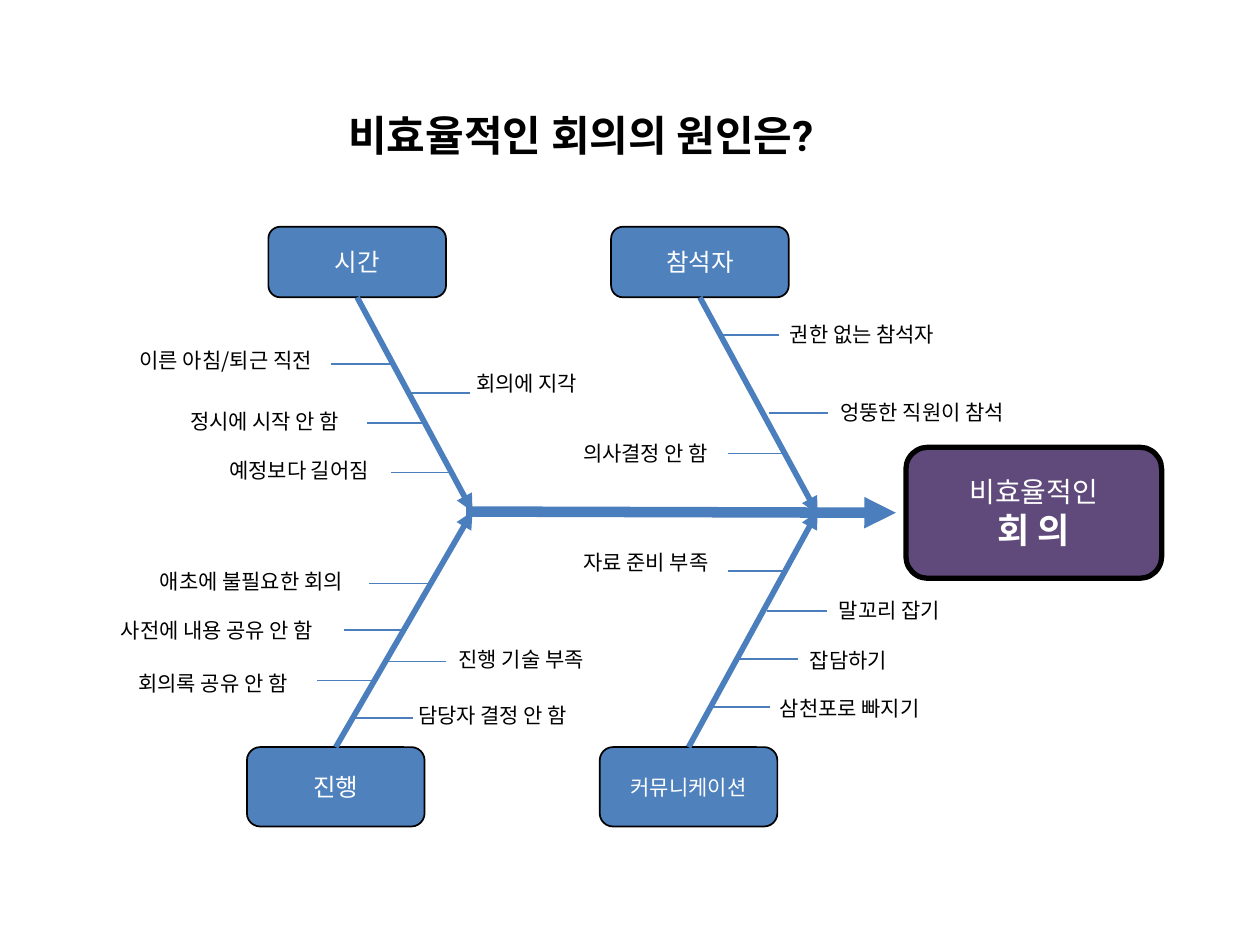
from lxml import etree
from pptx import Presentation
from pptx.dml.color import RGBColor
from pptx.enum.shapes import MSO_CONNECTOR, MSO_SHAPE
from pptx.enum.text import MSO_ANCHOR, MSO_AUTO_SIZE, PP_ALIGN
from pptx.oxml.ns import qn
from pptx.util import Inches, Pt

STRAIGHT = MSO_CONNECTOR.STRAIGHT
ROUNDED = MSO_SHAPE.ROUNDED_RECTANGLE
MIDDLE = MSO_ANCHOR.MIDDLE
GROW = MSO_AUTO_SIZE.SHAPE_TO_FIT_TEXT
CENTER, LEFT_ALIGN = PP_ALIGN.CENTER, PP_ALIGN.LEFT
TOP, BOTTOM = 0, 2
LEFT, RIGHT = -1, 1
TWIG_LENGTH = 0.47
LABEL_HEIGHT = 0.3
KOREAN_FONT = "Noto Sans CJK KR"
COLORS = {"bone": "4B7EBC", "cause": "4F81BD", "effect": "604A7B",
          "black": "000000", "white": "FFFFFF"}
LABEL = {"size": Pt(12), "name": KOREAN_FONT}
TITLE = {"size": Pt(24), "name": "Roboto", "bold": True}

# Twigs: label, label left, label top, label width, joint x, joint y, side
BONES = [
    {"box": (2.13, 1.8, 1.41, 0.56), "name": "시간", "size": 14,
     "site": BOTTOM, "tip": (3.75, 4.06), "twigs": [
         ("이른 아침/퇴근 직전", 1.01, 2.71, 1.95, 3.1, 2.89, LEFT),
         ("정시에 시작 안 함", 1.41, 3.19, 1.95, 3.38, 3.36, LEFT),
         ("회의에 지각", 3.68, 2.89, 1.25, 3.26, 3.12, RIGHT),
         ("예정보다 길어짐", 1.72, 3.58, 1.95, 3.57, 3.75, LEFT)]},
    {"box": (4.85, 1.8, 1.41, 0.56), "name": "참석자", "size": 14,
     "site": BOTTOM, "tip": (6.49, 4.08), "twigs": [
         ("권한 없는 참석자", 6.17, 2.5, 1.79, 5.71, 2.66, RIGHT),
         ("의사결정 안 함", 4.53, 3.45, 1.4, 6.25, 3.6, LEFT),
         ("엉뚱한 직원이 참석", 6.57, 3.12, 1.95, 6.1, 3.28, RIGHT)]},
    {"box": (1.96, 5.93, 1.41, 0.63), "name": "진행", "size": 14,
     "site": TOP, "tip": (3.75, 4.06), "twigs": [
         ("애초에 불필요한 회의", 1.17, 4.46, 2.11, 3.4, 4.63, LEFT),
         ("사전에 내용 공유 안 함", 0.86, 4.85, 1.95, 3.2, 5, LEFT),
         ("회의록 공유 안 함", 1, 5.27, 1.95, 2.99, 5.4, LEFT),
         ("진행 기술 부족", 3.54, 5.08, 1.95, 3.07, 5.25, RIGHT),
         ("담당자 결정 안 함", 3.22, 5.53, 1.95, 2.81, 5.7, RIGHT)]},
    {"box": (4.76, 5.93, 1.41, 0.63), "name": "커뮤니케이션", "size": 12,
     "site": TOP, "tip": (6.49, 4.06), "twigs": [
         ("자료 준비 부족", 4.53, 4.31, 1.41, 6.25, 4.53, LEFT),
         ("말꼬리 잡기", 6.56, 4.69, 1.95, 6.09, 4.85, RIGHT),
         ("잡담하기", 6.33, 5.09, 1.41, 5.86, 5.23, RIGHT),
         ("삼천포로 빠지기", 6.09, 5.47, 1.95, 5.64, 5.61, RIGHT)]},
]


def rgb(name):
    """Return the named colour."""
    return RGBColor.from_string(COLORS[name])


def inches(values):
    """Turn plain numbers into lengths."""
    return [Inches(value) for value in values]


def add_span(para, text, color, font_format):
    """Add a run with its font, for Latin and Korean letters."""
    span = para.add_run()
    span.text = text
    for attribute, value in font_format.items():
        setattr(span.font, attribute, value)
    span.font.color.rgb = rgb(color)
    east_asian = etree.Element(qn("a:ea"), typeface=KOREAN_FONT)
    span.font._element.find(qn("a:latin")).addnext(east_asian)


def add_line(page, start, end, width, arrow=False):
    """Draw a straight line, with an arrowhead at its end if asked."""
    line = page.shapes.add_connector(STRAIGHT, *inches(start + end))
    line.line.color.rgb = rgb("bone")
    line.line.width = Pt(width)
    if arrow:
        etree.SubElement(line.line._get_or_add_ln(), qn("a:tailEnd"), type="triangle")
    etree.SubElement(line._element.spPr, qn("a:effectLst"))
    return line


def add_label(page, box, text, font_format, align=LEFT_ALIGN):
    """Place a line of black text in a box."""
    label = page.shapes.add_textbox(*inches(box))
    frame = label.text_frame
    frame.word_wrap = True
    frame.auto_size = GROW
    para = frame.paragraphs[0]
    para.alignment = align
    add_span(para, text, "black", font_format)


def add_node(page, box, fill, border, lines):
    """Draw a rounded box with centred white lines of text."""
    node = page.shapes.add_shape(ROUNDED, *inches(box))
    node.shadow.inherit = False
    node.fill.solid()
    node.fill.fore_color.rgb = rgb(fill)
    node.line.color.rgb = rgb("black")
    node.line.width = Pt(border)
    frame = node.text_frame
    frame.word_wrap = True
    frame.vertical_anchor = MIDDLE
    para = frame.paragraphs[0]
    para.alignment = CENTER
    for index, (text, font_format) in enumerate(lines):
        if index:
            para.add_line_break()
        add_span(para, text, "white", {"name": KOREAN_FONT, **font_format})
    return node


def add_bone(page, box, name, size, site, tip, twigs):
    """Draw a cause box, its bone to the spine and the labelled twigs."""
    cause = add_node(page, box, "cause", 1, [(name, {"size": Pt(size)})])
    left, top, width, height = box
    root = (left + width / 2, top + (height if site == BOTTOM else 0))
    bone = add_line(page, root, tip, 3.25, arrow=True)
    bone.begin_connect(cause, site)
    for text, label_left, label_top, label_width, x, y, side in twigs:
        add_label(page, (label_left, label_top, label_width, LABEL_HEIGHT), text, LABEL)
        add_line(page, (x, y), (x + side * TWIG_LENGTH, y), 1)


def main():
    """Build the fishbone slide and save it."""
    deck = Presentation()
    deck.slide_width, deck.slide_height = Inches(10), Inches(7.5)
    page = deck.slides.add_slide(deck.slide_layouts[6])
    add_label(page, (2.11, 0.82, 5, 0.5), "비효율적인 회의의 원인은?", TITLE, CENTER)
    for bone in BONES:
        add_bone(page, **bone)
    add_line(page, (3.7, 4.06), (7.11, 4.07), 6, arrow=True)
    add_node(page, (7.19, 3.55, 2.03, 1.04), "effect", 3,
             [("비효율적인", {"size": Pt(16)}),
              ("회 의", {"size": Pt(20), "bold": True})])
    deck.save("out.pptx")


if __name__ == "__main__":
    main()
